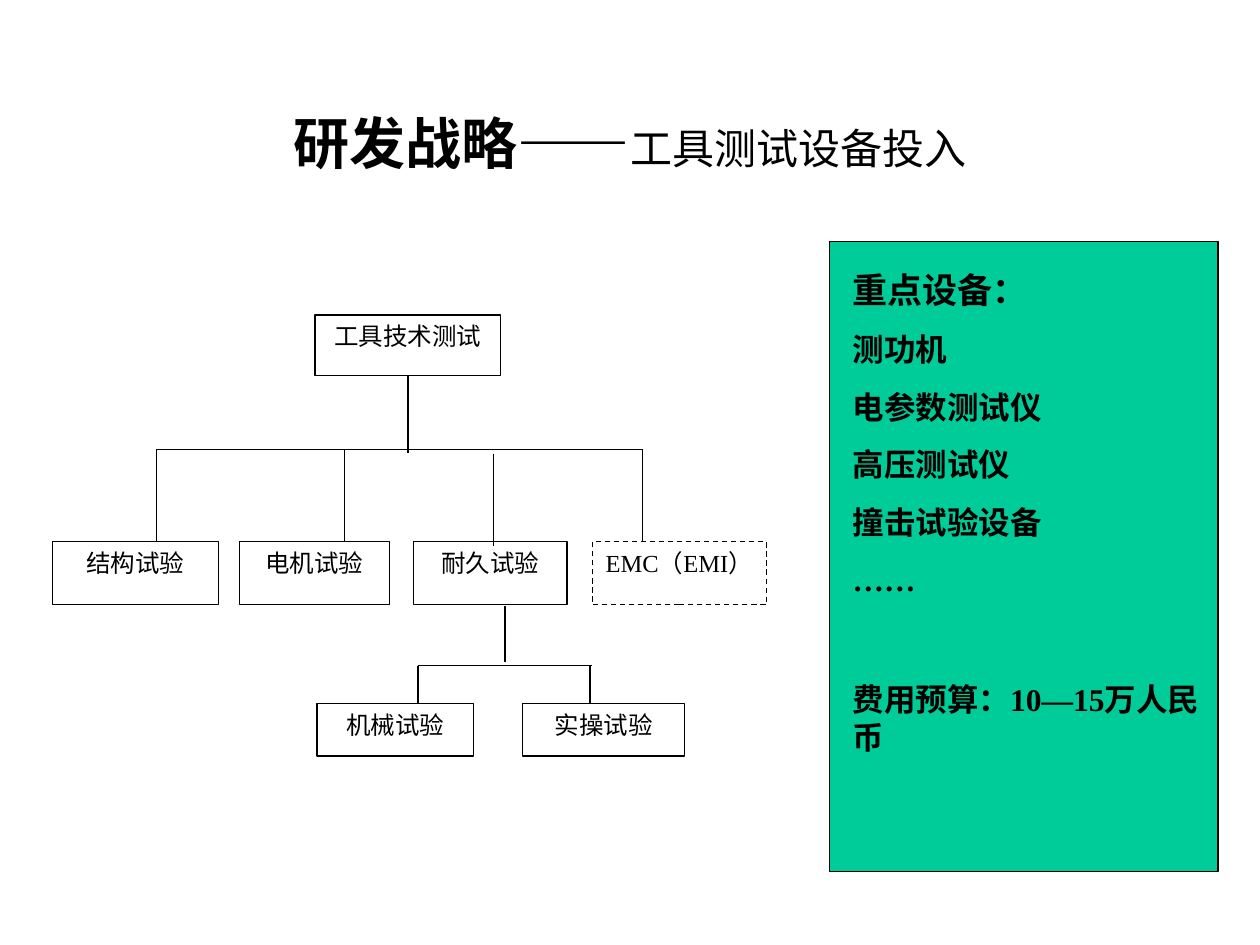
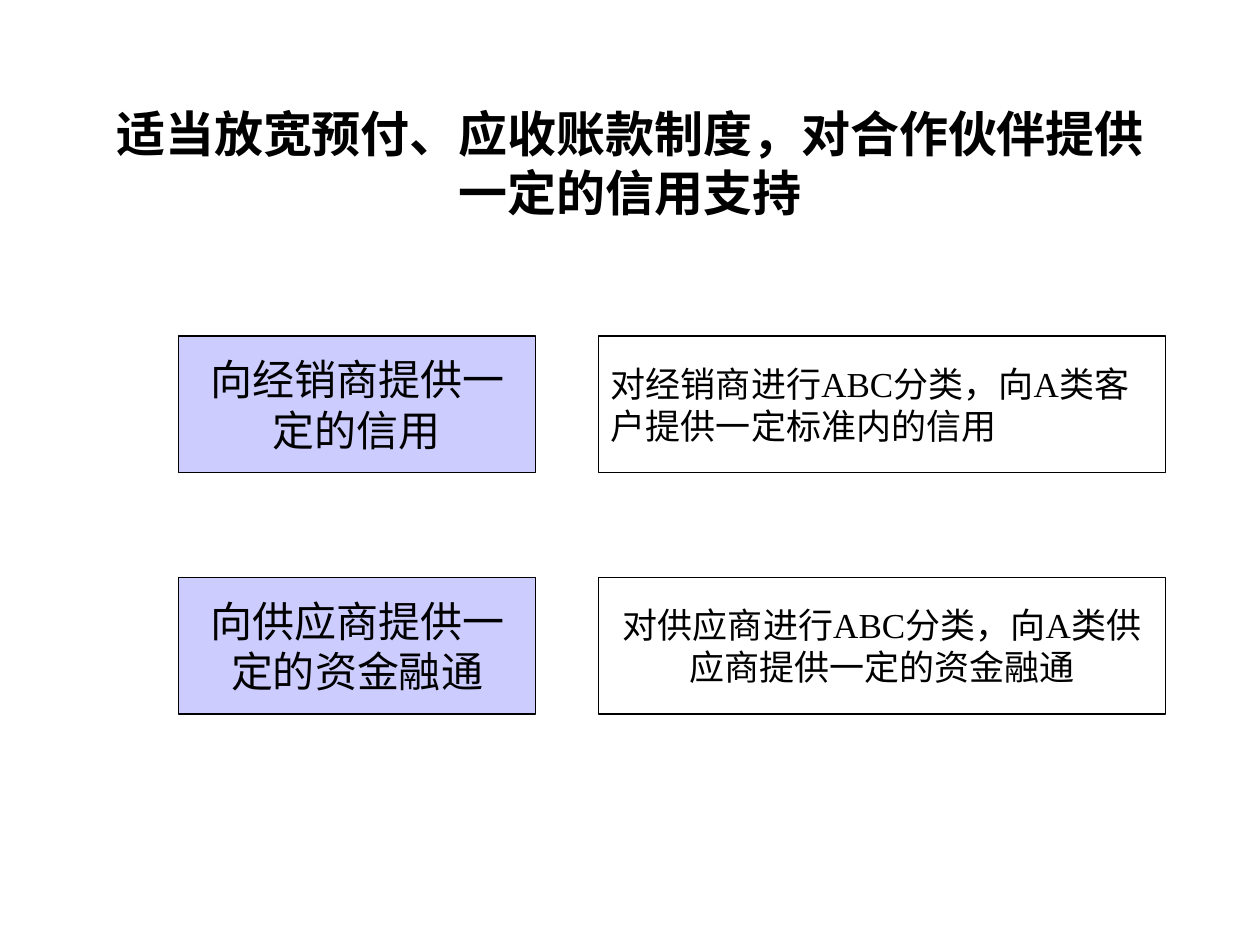
from lxml.etree import SubElement
from pptx import Presentation
from pptx.dml.color import RGBColor
from pptx.enum.dml import MSO_LINE_DASH_STYLE as Dash
from pptx.enum.shapes import MSO_CONNECTOR as Connector, MSO_SHAPE as Shape
from pptx.enum.text import MSO_ANCHOR as Anchor, MSO_AUTO_SIZE as AutoSize, PP_ALIGN as Align
from pptx.oxml.ns import qn
from pptx.util import Inches, Pt

FONT = "Times New Roman"
BLACK, WHITE, GREEN, LILAC = "000000", "FFFFFF", "00CC99", "CCCCFF"

deck = Presentation()
deck.slide_width, deck.slide_height = Inches(10), Inches(7.5)
CELL = deck.slide_width // 120  # the slide is a grid of 120 columns and 90 rows


def style(font, size, bold=False, colour=BLACK):
    font.name, font.size, font.bold = FONT, Pt(size), bold
    font.color.rgb = RGBColor.from_string(colour)


def box(slide, area, fill, text="", size=14, anchor=Anchor.TOP, align=Align.CENTER):
    rect = slide.shapes.add_shape(Shape.RECTANGLE, *[round(v * CELL) for v in area])
    rect.shadow.inherit = False
    rect.fill.solid()
    rect.fill.fore_color.rgb = RGBColor.from_string(fill)
    rect.line.color.rgb = RGBColor.from_string(BLACK)
    rect.line.width = Pt(0.75)
    if text:
        rect.text_frame.text = text
        rect.text_frame.vertical_anchor = anchor
        label = rect.text_frame.paragraphs[0]
        label.alignment = align
        style(label.font, size)
    return rect


strategy = deck.slides.add_slide(deck.slide_layouts[1])
credit = deck.slides.add_slide(deck.slide_layouts[5])

# Titles: rows high, then (text, size, bold) parts
titles = [
    (strategy, 11, [("研发战略——", 32, True), ("工具测试设备投入", 24, False)]),
    (credit, 15, [("适当放宽预付、应收账款制度，对合作伙伴提供一定的信用支持", 28, True)]),
]
for slide, rows, parts in titles:
    title = slide.shapes.title
    title.left, title.top, title.width, title.height = [v * CELL for v in (9, 8, 102, rows)]
    title.text_frame.auto_size = AutoSize.NONE
    title.text_frame.vertical_anchor = Anchor.MIDDLE
    heading = title.text_frame.paragraphs[0]
    heading.alignment = Align.CENTER
    for text, size, bold in parts:
        run = heading.add_run()
        run.text = text
        style(run.font, size, bold)

# Slide 1: test tree
root = box(strategy, (30, 30, 17.7, 5.8), WHITE, "工具技术测试")
TESTS_TOP, SUBTESTS_TOP = 51.6, 67
for text, left, width in [("结构试验", 5, 15.8), ("电机试验", 22.8, 14.3),
                          ("耐久试验", 39.4, 14.6), ("EMC（EMI）", 56.4, 16.6)]:
    test = box(strategy, (left, TESTS_TOP, width, 6), WHITE, text)
test.line.dash_style = Dash.DASH
for text, left, width in [("机械试验", 30.2, 14.9), ("实操试验", 49.8, 15.4)]:
    box(strategy, (left, SUBTESTS_TOP, width, 5), WHITE, text)

# Slide 1: branches of the tree, as x1, y1, x2, y2
TESTS_BAR, SUBTESTS_BAR = 42.8, 63.4
branches = [
    (38.85, 35.8, 38.85, 43.1),
    (14.9, TESTS_BAR, 61.2, TESTS_BAR),
    *[(x, TESTS_BAR, x, TESTS_TOP) for x in (14.9, 32.8, 61.2)],
    (47, 43.2, 47, 52),
    (48.1, 57.7, 48.1, 63),
    (39.8, SUBTESTS_BAR, 56.4, SUBTESTS_BAR),
    *[(x, SUBTESTS_BAR, x, SUBTESTS_TOP) for x in (39.8, 56.2)],
]
for number, ends in enumerate(branches):
    branch = strategy.shapes.add_connector(Connector.STRAIGHT, *[round(v * CELL) for v in ends])
    branch.line.color.rgb = RGBColor.from_string(BLACK)
    branch.line.width = Pt(0.75)
    SubElement(branch._element.spPr, qn("a:effectLst"))
    if number == 0:
        branch.begin_connect(root, 2)

# Slide 1: key equipment list on its green panel
equipment = strategy.placeholders[1]
panel = box(strategy, (79, 23, 37, 60), GREEN)
equipment._element.addprevious(panel._element)
equipment.left, equipment.top, equipment.width, equipment.height = [
    v * CELL for v in (80, 25, 37, 48)]
equipment.text_frame.auto_size = AutoSize.NONE
items = [("重点设备：", 20, 0), ("测功机", 18, 11.2), ("电参数测试仪", 18, 11.2),
         ("高压测试仪", 18, 11.2), ("撞击试验设备", 18, 11.2), ("……", 18, 11.2),
         ("费用预算：10—15万人民币", 18, 47)]
equipment.text_frame.text = "\n".join(text for text, _, _ in items)
for line, (_, size, gap) in zip(equipment.text_frame.paragraphs, items):
    line.space_before = Pt(gap)
    properties = line._p.get_or_add_pPr()
    properties.set("marL", "0")
    properties.set("indent", "0")
    SubElement(properties, qn("a:buNone"))
    style(line.font, size, True)

# Slide 2: each measure beside its explanation
measures = [
    ("向经销商提供一定的信用", "对经销商进行ABC分类，向A类客户提供一定标准内的信用", Align.LEFT),
    ("向供应商提供一定的资金融通", "对供应商进行ABC分类，向A类供应商提供一定的资金融通", Align.CENTER),
]
for row, (measure, detail, align) in enumerate(measures):
    top = 32 + 23 * row
    box(credit, (17, top, 34, 13), LILAC, measure, 24, Anchor.MIDDLE)
    box(credit, (57, top, 54, 13), WHITE, detail, 20, Anchor.MIDDLE, align)

deck.save("out.pptx")
